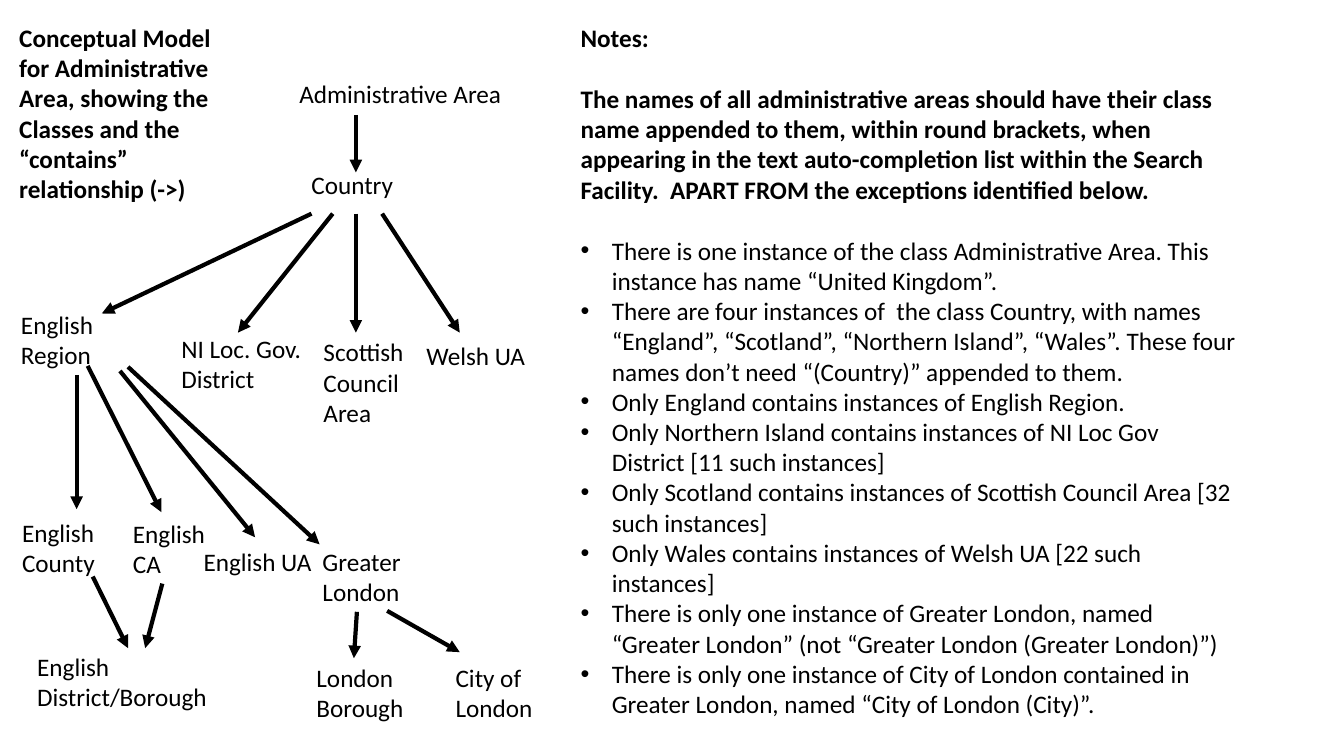
"""Build a slide on the conceptual model for administrative areas."""
from dataclasses import dataclass

from lxml import etree
from pptx import Presentation
from pptx.dml.color import RGBColor
from pptx.enum.shapes import MSO_CONNECTOR
from pptx.enum.text import MSO_ANCHOR, MSO_AUTO_SIZE, PP_ALIGN
from pptx.oxml.ns import qn
from pptx.util import Inches, Pt

STRAIGHT = MSO_CONNECTOR.STRAIGHT
TOP = MSO_ANCHOR.TOP
LEFT = PP_ALIGN.LEFT
GROW = MSO_AUTO_SIZE.SHAPE_TO_FIT_TEXT
TITLE_ONLY = 5
CELL = Inches(0.1)


@dataclass(frozen=True)
class Theme:
    ink: RGBColor = RGBColor(0, 0, 0)
    font: str = "Calibri"
    size: Pt = Pt(18)
    blank_line: Pt = Pt(22)
    arrow: Pt = Pt(3)
    indent: Inches = Inches(0.31)


THEME = Theme()


def grid(*counts):
    """Turn counts of columns and rows into lengths."""
    return [round(count * CELL) for count in counts]


def write(box, lines, bold=False):
    """Fill a box with one paragraph per line and return the paragraphs."""
    frame = box.text_frame
    frame.word_wrap = True
    frame.auto_size = GROW
    frame.vertical_anchor = TOP
    frame.text = "\n".join(lines)
    for para in frame.paragraphs:
        para.alignment = LEFT
        para.font.name = THEME.font
        para.font.size = THEME.size
        para.font.bold = bold
        para.font.color.rgb = THEME.ink
    return frame.paragraphs


deck = Presentation()
deck.slide_width, deck.slide_height = Inches(13.33), Inches(7.5)
page = deck.slides.add_slide(deck.slide_layouts[TITLE_ONLY])

title = page.shapes.title
title.left, title.top, title.width, title.height = grid(0.9, 1.7, 24.5, 19.2)
write(title, ["Conceptual Model for Administrative Area, showing the Classes "
              "and the “contains” relationship (->)"], bold=True)

# name, left column, top row, columns, lines of text
CLASSES = [
    ("Administrative Area", 28.7, 7.3, 23.3, 1),
    ("Country", 29.9, 16.3, 23.3, 1),
    ("English Region", 1.1, 30.2, 12.9, 2),
    ("NI Loc. Gov. District", 17, 32.6, 15.8, 2),
    ("Scottish Council Area", 31.1, 32.9, 12.9, 3),
    ("Welsh UA", 41.3, 33.3, 15.7, 1),
    ("English County", 1.2, 50.8, 14.8, 2),
    ("English CA", 12.2, 50.9, 10.7, 2),
    ("English UA", 19.2, 53.7, 13.5, 1),
    ("Greater London", 31, 53.7, 12.7, 2),
    ("English District/Borough", 2.7, 64.1, 19.1, 2),
    ("London\nBorough", 30.4, 65.2, 11.3, 2),
    ("City of London", 44.2, 65.2, 10.8, 2),
]
for name, left, top, columns, lines in CLASSES:
    label = page.shapes.add_textbox(*grid(left, top, columns, 1 + 3.03 * lines))
    write(label, name.split("\n"))

CONTAINS = {
    "Administrative Area": [(35.3, 11.4, 35.3, 17.1)],
    "Country": [(30.9, 21.2, 10.1, 31.1), (33, 21.2, 23.6, 33),
                (35.3, 21.2, 35.3, 33), (37.9, 21.2, 45.6, 33)],
    "English Region": [(7.6, 37.2, 7.6, 50.5), (8.7, 36.3, 16, 50.8),
                       (11.9, 36.8, 25.3, 53.3), (12.7, 36.4, 31.7, 54)],
    "English County": [(9.2, 57.2, 12.7, 64.3)],
    "English CA": [(16.1, 57.9, 14.4, 64.3)],
    "Greater London": [(35.4, 60.7, 35.1, 65.3), (38.4, 60.6, 45.6, 64.7)],
}
for parent, ends in CONTAINS.items():
    for number, end in enumerate(ends, 1):
        arrow = page.shapes.add_connector(STRAIGHT, *grid(*end))
        arrow.name = f"{parent} contains {number}"
        arrow.line.color.rgb = THEME.ink
        arrow.line.width = THEME.arrow
        outline = arrow.line._get_or_add_ln()
        etree.SubElement(outline, qn("a:tailEnd"), type="triangle")
        etree.SubElement(outline.getparent(), qn("a:effectLst"))

HEADINGS = [
    "Notes:",
    "The names of all administrative areas should have their class name "
    "appended to them, within round brackets, when appearing in the text "
    "auto-completion list within the Search Facility.  APART FROM the "
    "exceptions identified below.",
]
EXCEPTIONS = [
    "There is one instance of the class Administrative Area. This instance "
    "has name “United Kingdom”.",
    "There are four instances of  the class Country, with names “England”, "
    "“Scotland”, “Northern Island”, “Wales”. These four names don’t need "
    "“(Country)” appended to them.",
    "Only England contains instances of English Region.",
    "Only Northern Island contains instances of NI Loc Gov District "
    "[11 such instances]",
    "Only Scotland contains instances of Scottish Council Area "
    "[32 such instances]",
    "Only Wales contains instances of Welsh UA [22 such instances]",
    "There is only one instance of Greater London, named “Greater London” "
    "(not “Greater London (Greater London)”)",
    "There is only one instance of City of London contained in Greater "
    "London, named “City of London (City)”.",
]
notes = page.shapes.add_textbox(*grid(56.6, 1.7, 67.1, 76.7))
paras = write(notes, HEADINGS + EXCEPTIONS)
for para in paras[:len(HEADINGS)]:
    para.font.bold = True
    para.space_after = THEME.blank_line
for para in paras[len(HEADINGS):]:
    layout = para._p.get_or_add_pPr()
    layout.set("marL", str(THEME.indent))
    layout.set("indent", str(-THEME.indent))
    bullet = etree.Element(qn("a:buChar"), char="•")
    face = etree.Element(qn("a:buFont"), typeface="Arial")
    layout.insert(0, face)
    face.addnext(bullet)

deck.save("out.pptx")
